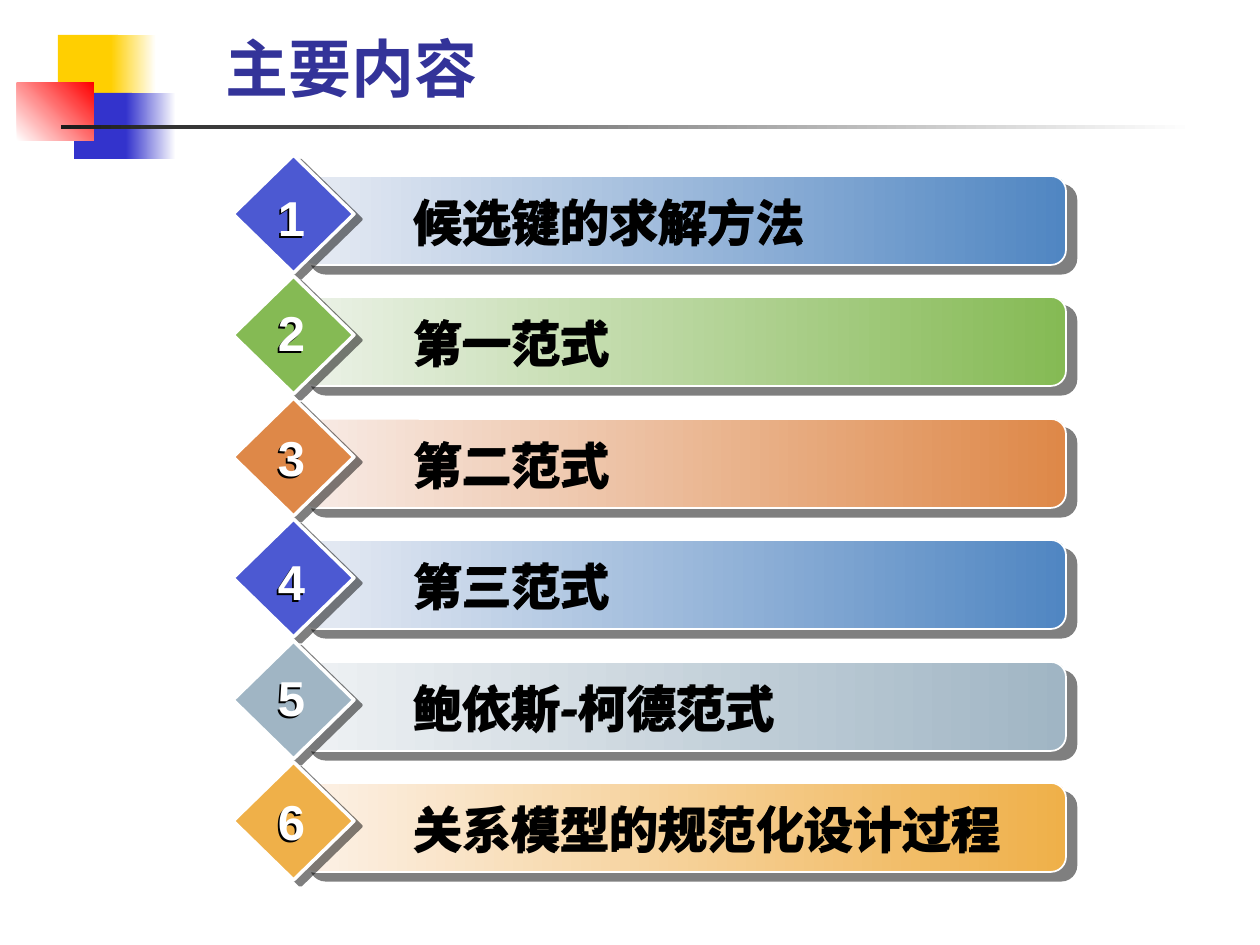
import itertools

import pptx
import pptx.dml.color
import pptx.enum.shapes
import pptx.enum.text
import pptx.oxml
import pptx.oxml.ns
import pptx.util
from lxml import etree

PX = 914400 // 126
LATIN = "Arial"
CJK = "Noto Sans CJK SC"
COLORS = {
    "white": "FFFFFF",
    "black": "000000",
    "title": "333399",
    "title_shadow": "808080",
    "yellow": "FFCF01",
    "blue": "3333CC",
    "red": "FF0000",
    "rule": "1C1C1C",
    "indigo": "4C59D2",
    "azure": "5086C2",
    "azure_tint": "E8ECF4",
    "green": "85BA54",
    "green_tint": "ECF2E8",
    "orange": "DE8848",
    "orange_tint": "F8ECE7",
    "slate": "A0B5C4",
    "slate_tint": "EFF2F4",
    "amber": "EFB049",
    "amber_tint": "FCF1E7",
}
TOPICS = [
    ("候选键的求解方法", "indigo", "azure_tint", "azure"),
    ("第一范式", "green", "green_tint", "green"),
    ("第二范式", "orange", "orange_tint", "orange"),
    ("第三范式", "indigo", "azure_tint", "azure"),
    ("鲍依斯-柯德范式", "slate", "slate_tint", "slate"),
    ("关系模型的规范化设计过程", "amber", "amber_tint", "amber"),
]
FIRST_TOP = 155
LAST_TOP = 762
NUMBER_DROPS = (26, 20, 23)


def rgb(name):
    return pptx.dml.color.RGBColor.from_string(COLORS[name])


def shadow_effect(color, opacity, distance, angle):
    return pptx.oxml.parse_xml(
        f'<a:effectLst {pptx.oxml.ns.nsdecls("a")}>'
        f'<a:outerShdw dist="{round(distance * 12700)}" dir="{angle * 60000}" '
        f'algn="ctr" rotWithShape="0"><a:srgbClr val="{COLORS[color]}">'
        f'<a:alpha val="{opacity * 1000}"/></a:srgbClr></a:outerShdw></a:effectLst>'
    )


def write_text(frame, text, *, size, color, font=LATIN, align=None,
               anchor=None, wrap=True, effect=None):
    frame.word_wrap = wrap
    frame.vertical_anchor = anchor
    paragraph = frame.paragraphs[0]
    paragraph.alignment = align
    run = paragraph.add_run()
    run.text = text
    run.font.size = pptx.util.Pt(size)
    run.font.bold = True
    run.font.color.rgb = rgb(color)
    run.font.name = font
    latin = run.font._element.find(pptx.oxml.ns.qn("a:latin"))
    east_asian = etree.Element(pptx.oxml.ns.qn("a:ea"), typeface=CJK)
    latin.addnext(east_asian)
    if effect is not None:
        latin.addprevious(effect)


class TopicSlide:
    def __init__(self, presentation):
        self.slide = presentation.slides.add_slide(presentation.slide_layouts[5])
        self.shapes = self.slide.shapes

    def start_group(self):
        self.shapes = self.slide.shapes.add_group_shape().shapes

    def title(self, text, box):
        heading = self.slide.shapes.title
        heading.left, heading.top, heading.width, heading.height = (
            length * PX for length in box
        )
        write_text(
            heading.text_frame, text, size=36, color="title",
            align=pptx.enum.text.PP_ALIGN.LEFT,
            anchor=pptx.enum.text.MSO_ANCHOR.MIDDLE,
            effect=shadow_effect("title_shadow", 100, 2, 45),
        )

    def shape(self, kind, box, colors, angle=0, border=None, shadow=None):
        item = self.shapes.add_shape(kind, *(length * PX for length in box))
        item.shadow.inherit = False
        if len(colors) == 1:
            item.fill.solid()
            item.fill.fore_color.rgb = rgb(colors[0])
        else:
            item.fill.gradient()
            item.fill.gradient_angle = angle
            for stop, color, position in zip(item.fill.gradient_stops, colors, (0, 1)):
                stop.color.rgb = rgb(color)
                stop.position = position
        if border is None:
            item.line.fill.background()
        else:
            item.line.color.rgb = rgb("white")
            item.line.width = pptx.util.Pt(border)
        if shadow is not None:
            self.cast_shadow(item, *shadow)
        return item

    def rectangle(self, box, *colors, angle=0):
        return self.shape(
            pptx.enum.shapes.MSO_SHAPE.RECTANGLE, box, colors, angle
        )

    def bar(self, box, tint, color):
        bar = self.shape(
            pptx.enum.shapes.MSO_SHAPE.ROUNDED_RECTANGLE, box, (tint, color),
            border=1, shadow=("black", 50, 7.8, 40),
        )
        bar.adjustments[0] = 0.17

    def diamond(self, box, color):
        self.shape(
            pptx.enum.shapes.MSO_SHAPE.DIAMOND, box, (color,),
            border=2, shadow=("black", 50, 5, 37),
        )

    def caption(self, text, box, **style):
        caption = self.shapes.add_textbox(*(length * PX for length in box))
        write_text(caption.text_frame, text, size=28, **style)
        caption.text_frame.auto_size = pptx.enum.text.MSO_AUTO_SIZE.SHAPE_TO_FIT_TEXT
        caption.shadow.inherit = False
        self.cast_shadow(caption, "black", 100, 1.5, 135)

    def cast_shadow(self, item, *shadow):
        properties = item._element.spPr
        empty = properties.find(pptx.oxml.ns.qn("a:effectLst"))
        properties.replace(empty, shadow_effect(*shadow))

    def topic(self, number, top, drop, text, diamond, tint, color):
        self.start_group()
        self.bar((300, top + 21, 766, 89), tint, color)
        self.diamond((233, top, 121, 118), diamond)
        self.caption(text, (402, top + 30, 613, 72), color="black", font=CJK)
        self.caption(
            str(number), (265, top + drop, 53, 72), color="white",
            align=pptx.enum.text.PP_ALIGN.CENTER, wrap=False,
        )


def main():
    presentation = pptx.Presentation()
    presentation.slide_width = pptx.util.Inches(10)
    presentation.slide_height = pptx.util.Inches(7.5)
    contents = TopicSlide(presentation)
    contents.rectangle((58, 35, 60, 66), "yellow")
    contents.rectangle((111, 35, 45, 66), "yellow", "white")
    contents.rectangle((74, 93, 58, 66), "blue")
    contents.rectangle((126, 93, 50, 66), "blue", "white")
    contents.rectangle((17, 83, 77, 58), "white", "red", angle=45)
    contents.rectangle((61, 125, 1134, 4), "rule", "white")
    contents.title("主要内容", (213, 10, 994, 115))

    pitch = (LAST_TOP - FIRST_TOP) / (len(TOPICS) - 1)
    drops = itertools.cycle(NUMBER_DROPS)
    for index, (topic, drop) in enumerate(zip(TOPICS, drops)):
        contents.topic(index + 1, FIRST_TOP + round(index * pitch), drop, *topic)
    presentation.save("out.pptx")


if __name__ == "__main__":
    main()
